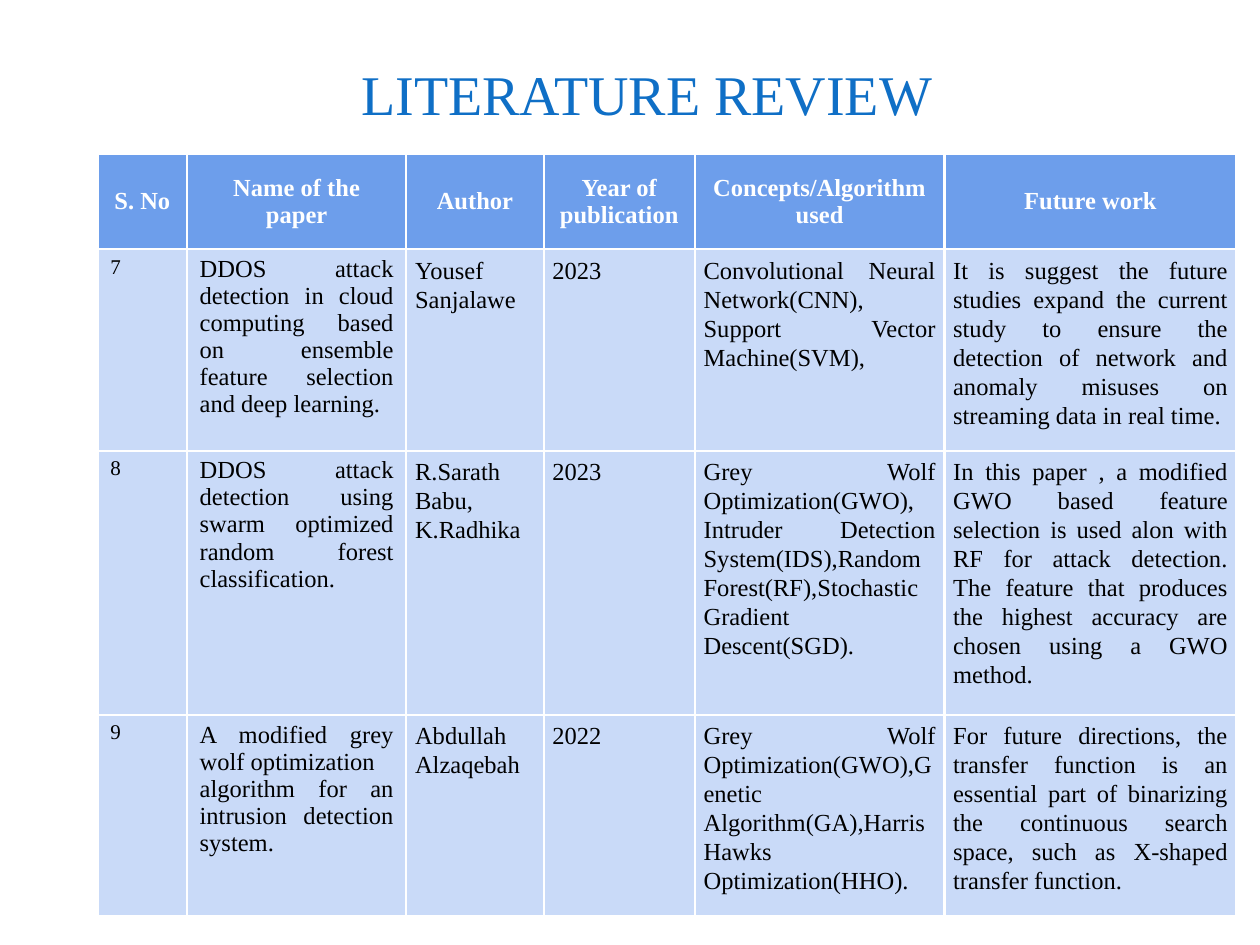
from lxml.etree import fromstring
from pptx import Presentation
from pptx.dml.color import RGBColor
from pptx.enum.text import MSO_ANCHOR as Anchor, PP_ALIGN as Align
from pptx.oxml.ns import nsdecls
from pptx.util import Pt

COLORS = {"title": "0F6FC6", "header": "6D9EEB", "body": "C9DAF8",
          "white": "FFFFFF", "black": "000000"}
FONT = "Times New Roman"
COLUMN_WIDTHS = [51.1, 125.3, 78.5, 86.4, 142.6, 167]
ROW_HEIGHTS = [54.7, 100.8, 105.1, 105.1]
HEADERS = ["S. No", "Name of the paper", "Author", "Year of publication",
           "Concepts/Algorithm used", "Future work"]
# A line break inside a cell starts a new paragraph
PAPERS = [
    ["7",
     "DDOS attack detection in cloud computing based on ensemble feature "
     "selection and deep learning.",
     "Yousef Sanjalawe", "2023",
     "Convolutional Neural Network(CNN),\nSupport Vector Machine(SVM),",
     "It is suggest the future studies expand the current study to ensure the "
     "detection of network and anomaly misuses on streaming data in real time."],
    ["8",
     "DDOS attack detection using swarm optimized random forest classification.",
     "R.Sarath Babu,\nK.Radhika", "2023",
     "Grey Wolf Optimization(GWO),\nIntruder Detection System(IDS),Random "
     "Forest(RF),Stochastic Gradient Descent(SGD).",
     "In this paper , a modified GWO based feature selection is used alon with "
     "RF for attack detection. The feature that produces the highest accuracy "
     "are chosen using a GWO method."],
    ["9",
     "A modified grey wolf optimization \nalgorithm for an intrusion detection system.",
     "Abdullah Alzaqebah", "2022",
     "Grey Wolf Optimization(GWO),Genetic Algorithm(GA),Harris Hawks "
     "Optimization(HHO).",
     "For future directions, the transfer function is an essential part of "
     "binarizing the continuous search space, such as X-shaped transfer function."],
]


def rgb(name):
    return RGBColor.from_string(COLORS[name])


def style_paragraph(paragraph, size, color, align, bold=False, spacing=None):
    paragraph.alignment = align
    paragraph.line_spacing = spacing
    font = paragraph.font
    font.name, font.size, font.bold = FONT, Pt(size), bold
    font.color.rgb = rgb(color)


def add_borders(cell):
    properties = cell._tc.get_or_add_tcPr()
    for index, side in enumerate("LRTB"):
        properties.insert(index, fromstring(
            f'<a:ln{side} {nsdecls("a")} w="{Pt(1.5)}"><a:solidFill>'
            f'<a:srgbClr val="{COLORS["white"]}"/></a:solidFill></a:ln{side}>'))


def fill_cell(cell, text, is_header, column):
    cell.text = text
    cell.fill.solid()
    cell.fill.fore_color.rgb = rgb("header" if is_header else "body")
    add_borders(cell)
    wide_inset = is_header or column < 2
    cell.margin_left = cell.margin_right = Pt(7.2 if wide_inset else 5)
    cell.margin_top = cell.margin_bottom = Pt(3.6)
    cell.vertical_anchor = Anchor.MIDDLE if is_header else Anchor.TOP
    for paragraph in cell.text_frame.paragraphs:
        if is_header:
            style_paragraph(paragraph, 14, "white", Align.CENTER, bold=True)
        else:
            style_paragraph(paragraph, 12 if column == 0 else 14, "black",
                            Align.JUSTIFY, spacing=None if wide_inset else 1.07)


def add_title(slide, left, top, width, height):
    box = slide.shapes.add_textbox(Pt(left), Pt(top), Pt(width), Pt(height))
    frame = box.text_frame
    frame.word_wrap = True
    frame.vertical_anchor = Anchor.BOTTOM
    frame.margin_left = frame.margin_right = frame.margin_bottom = 0
    frame.text = "LITERATURE REVIEW"
    style_paragraph(frame.paragraphs[0], 32, "title", Align.CENTER)


def add_review_table(slide, left, top):
    rows = [HEADERS] + PAPERS
    table = slide.shapes.add_table(
        len(rows), len(HEADERS), Pt(left), Pt(top),
        Pt(sum(COLUMN_WIDTHS)), Pt(sum(ROW_HEIGHTS))).table
    for column, width in zip(table.columns, COLUMN_WIDTHS):
        column.width = Pt(width)
    for row, height in zip(table.rows, ROW_HEIGHTS):
        row.height = Pt(height)
    for row_index, texts in enumerate(rows):
        for column, text in enumerate(texts):
            fill_cell(table.cell(row_index, column), text, row_index == 0, column)


def main():
    presentation = Presentation()
    presentation.slide_width, presentation.slide_height = Pt(720), Pt(540)
    slide = presentation.slides.add_slide(presentation.slide_layouts[6])
    add_title(slide, 43.9, 20.9, 651.6, 51.8)
    add_review_table(slide, 55.8, 87.8)
    presentation.save("out.pptx")


if __name__ == "__main__":
    main()
